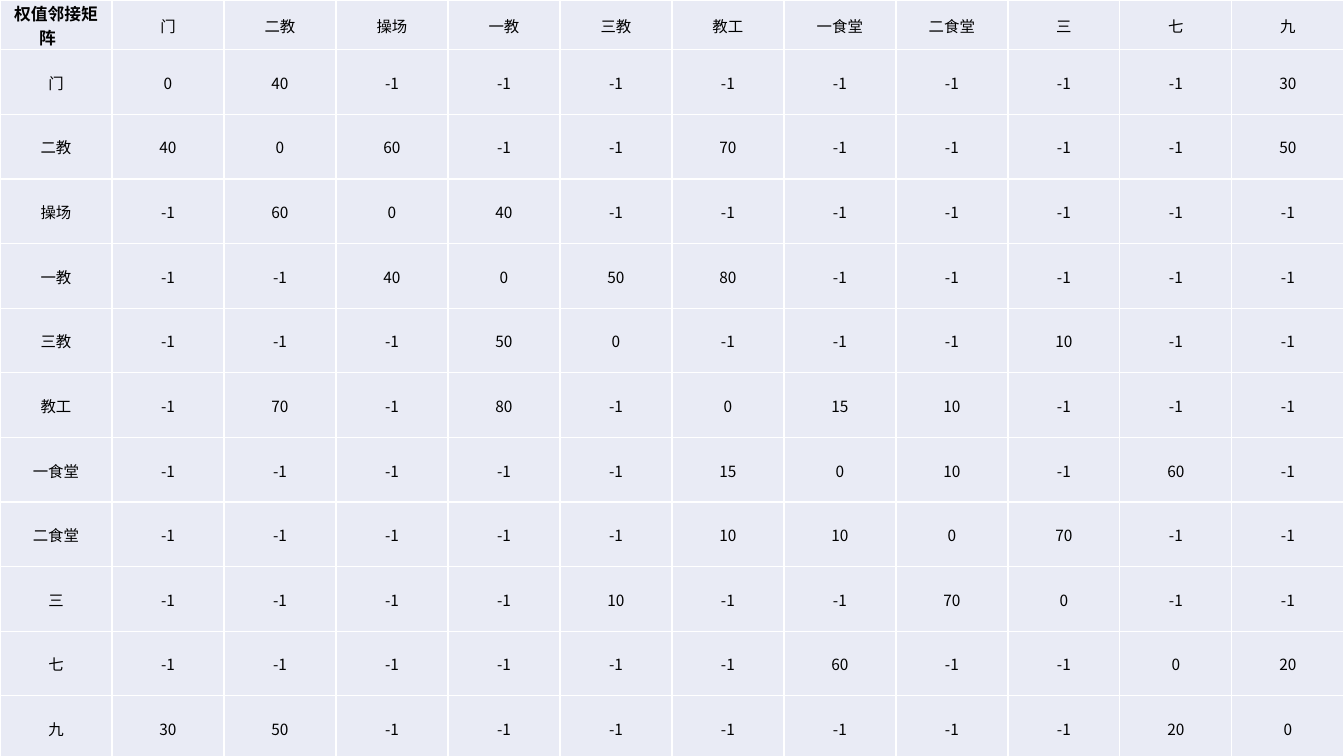
from lxml.etree import SubElement
from pptx import Presentation
from pptx.dml.color import RGBColor
from pptx.enum.text import MSO_ANCHOR, PP_ALIGN
from pptx.oxml.ns import qn
from pptx.util import Pt

PX = 914400 / 100.8
WIDTH, HEIGHT = 1344, 756
HEADER_HEIGHT = 45
COLORS = {"cell": "E9EBF5", "border": "FFFFFF", "text": "000000"}
FONT = "Noto Sans CJK SC"

CORNER = "权值邻接矩阵　"
PLACES = ["门", "二教", "操场", "一教", "三教", "教工", "一食堂", "二食堂", "三", "七", "九"]
DISTANCES = {
    ("门", "二教"): 40,
    ("门", "九"): 30,
    ("二教", "操场"): 60,
    ("二教", "教工"): 70,
    ("二教", "九"): 50,
    ("操场", "一教"): 40,
    ("一教", "三教"): 50,
    ("一教", "教工"): 80,
    ("三教", "三"): 10,
    ("教工", "一食堂"): 15,
    ("教工", "二食堂"): 10,
    ("一食堂", "二食堂"): 10,
    ("一食堂", "七"): 60,
    ("二食堂", "三"): 70,
    ("七", "九"): 20,
}


def emu(px):
    return round(px * PX)


def weight(start, end):
    """Distance of two places: 0 to itself, -1 where no path joins them."""
    if start == end:
        return 0
    return DISTANCES.get((start, end), DISTANCES.get((end, start), -1))


class MatrixSlide:
    """Holds the cell style and the slide being filled."""

    cell_format = {
        "margin_left": emu(1),
        "margin_right": emu(1),
        "margin_top": emu(1),
        "margin_bottom": 0,
        "vertical_anchor": MSO_ANCHOR.MIDDLE,
    }
    body_font = {"name": FONT, "size": Pt(11), "bold": False}
    corner_font = {"name": FONT, "size": Pt(12), "bold": True}

    def __init__(self, presentation):
        self.slide = presentation.slides.add_slide(presentation.slide_layouts[6])

    def table(self, rows):
        row_count, column_count = len(rows), len(rows[0])
        matrix = self.slide.shapes.add_table(
            row_count, column_count, 0, 0, emu(WIDTH), emu(HEIGHT)
        ).table
        matrix.first_row = matrix.horz_banding = False
        for column in matrix.columns:
            column.width = emu(WIDTH / column_count)
        for row in matrix.rows:
            row.height = emu((HEIGHT - HEADER_HEIGHT) / (row_count - 1))
        matrix.rows[0].height = emu(HEADER_HEIGHT)
        for r, values in enumerate(rows):
            for c, value in enumerate(values):
                font_format = self.body_font if r or c else self.corner_font
                self.cell(matrix.cell(r, c), str(value), font_format)

    def cell(self, cell, text, font_format):
        for name, value in self.cell_format.items():
            setattr(cell, name, value)
        self.borders(cell)
        cell.fill.solid()
        cell.fill.fore_color.rgb = RGBColor.from_string(COLORS["cell"])
        paragraph = cell.text_frame.paragraphs[0]
        paragraph.alignment = PP_ALIGN.CENTER
        run = paragraph.add_run()
        run.text = text
        for name, value in font_format.items():
            setattr(run.font, name, value)
        run.font.color.rgb = RGBColor.from_string(COLORS["text"])
        SubElement(run.font._element, qn("a:ea"), typeface=FONT)

    def borders(self, cell):
        properties = cell._tc.get_or_add_tcPr()
        for side in ("lnL", "lnR", "lnT", "lnB"):
            line = SubElement(properties, qn(f"a:{side}"), w=str(Pt(1)))
            fill = SubElement(line, qn("a:solidFill"))
            SubElement(fill, qn("a:srgbClr"), val=COLORS["border"])


def main():
    presentation = Presentation()
    presentation.slide_width = emu(WIDTH)
    presentation.slide_height = emu(HEIGHT)
    header = [CORNER, *PLACES]
    body = [[start, *(weight(start, end) for end in PLACES)] for start in PLACES]
    MatrixSlide(presentation).table([header, *body])
    presentation.save("out.pptx")


if __name__ == "__main__":
    main()
